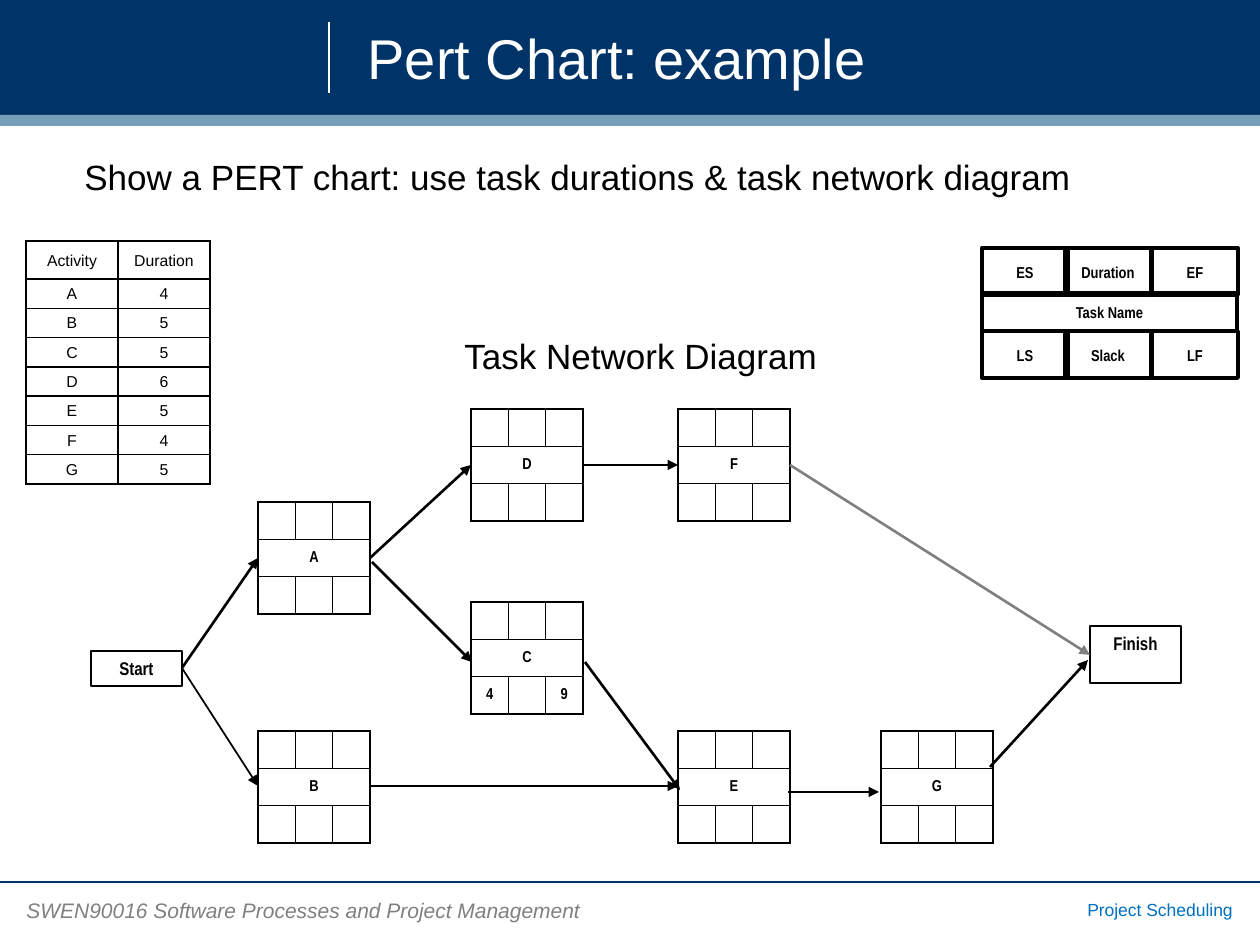
import pptx
import pptx.dml.color
import pptx.enum.shapes
import pptx.enum.text
import pptx.oxml
import pptx.oxml.ns
import pptx.util

RGBColor = pptx.dml.color.RGBColor
Align = pptx.enum.text.PP_ALIGN
Anchor = pptx.enum.text.MSO_ANCHOR
NAVY = RGBColor(0x00, 0x33, 0x68)
STEEL = RGBColor(0x75, 0x9F, 0xB8)
BLUE = RGBColor(0x00, 0x70, 0xC0)
GRAY = RGBColor(0x80, 0x80, 0x80)
BLACK = RGBColor(0x00, 0x00, 0x00)
WHITE = RGBColor(0xFF, 0xFF, 0xFF)
SANS = "Arial"
THIN = "Arial Narrow"


def px(size):
    return int(size * 914400 / 126)


def node(tag, **attrs):
    item = pptx.oxml.parse_xml(f"<a:{tag} {pptx.oxml.ns.nsdecls('a')}/>")
    for key, value in attrs.items():
        item.set(key, value)
    return item


class Board:
    def __init__(self, deck):
        self.slide = deck.slides.add_slide(deck.slide_layouts[5])
        self.shapes = self.slide.shapes

    def letter(self, frame, text, size, color=BLACK, face=SANS, bold=False,
               slant=False, align=Align.LEFT, space=None):
        frame.text = text
        line = frame.paragraphs[0]
        line.alignment = align
        line.line_spacing = space
        font = line.font
        font.size = pptx.util.Pt(size)
        font.name = face
        font.bold = bold
        font.italic = slant
        font.color.rgb = color

    def title(self, text, x, y, w, h):
        shape = self.shapes.title
        shape.left, shape.top, shape.width, shape.height = map(px, (x, y, w, h))
        self.letter(shape.text_frame, text, 32, WHITE)
        shape.text_frame.vertical_anchor = Anchor.MIDDLE
        self.shapes._spTree.append(shape._element)

    def label(self, text, x, y, w, h, size, wrap=True, **style):
        frame = self.shapes.add_textbox(px(x), px(y), px(w), px(h)).text_frame
        frame.word_wrap = wrap
        self.letter(frame, text, size, **style)

    def rect(self, x, y, w, h, fill=None, edge=None):
        kind = pptx.enum.shapes.MSO_SHAPE.RECTANGLE
        shape = self.shapes.add_shape(kind, px(x), px(y), px(w), px(h))
        shape.shadow.inherit = False
        if fill is None:
            shape.fill.background()
        else:
            shape.fill.solid()
            shape.fill.fore_color.rgb = fill
        if edge is None:
            shape.line.fill.background()
        else:
            shape.line.color.rgb = BLACK
            shape.line.width = pptx.util.Pt(edge)
        return shape

    def box(self, text, x, y, w, h, size, edge, anchor, space=None):
        frame = self.rect(x, y, w, h, edge=edge).text_frame
        frame.word_wrap = True
        frame.vertical_anchor = anchor
        self.letter(frame, text, size, face=THIN, bold=True,
                    align=Align.CENTER, space=space)

    def line(self, x1, y1, x2, y2, color=BLACK, width=1.5, arrow=True):
        kind = pptx.enum.shapes.MSO_CONNECTOR.STRAIGHT
        link = self.shapes.add_connector(kind, px(x1), px(y1), px(x2), px(y2))
        link.line.color.rgb = color
        link.line.width = pptx.util.Pt(width)
        props = link._element.spPr
        if arrow:
            props.find(pptx.oxml.ns.qn("a:ln")).append(node("tailEnd", type="triangle"))
        props.append(node("effectLst"))

    def frame(self, cell):
        cell.fill.background()
        props = cell._tc.get_or_add_tcPr()
        for place, side in enumerate(("lnL", "lnR", "lnT", "lnB")):
            edge = node(side, w="12700")
            fill = node("solidFill")
            fill.append(node("srgbClr", val=str(BLACK)))
            edge.append(fill)
            props.insert(place, edge)

    def table(self, rows, x, y, w, h, **style):
        size = len(rows), len(rows[0])
        grid = self.shapes.add_table(*size, px(x), px(y), px(w), px(h)).table
        grid.first_row = grid.horz_banding = False
        for r, row in enumerate(rows):
            for c, text in enumerate(row):
                cell = grid.cell(r, c)
                cell.margin_left = cell.margin_right = px(9)
                cell.margin_top = cell.margin_bottom = 0
                cell.vertical_anchor = Anchor.MIDDLE
                self.letter(cell.text_frame, text, 9, align=Align.CENTER, **style)
                self.frame(cell)
        return grid

    def task(self, name, x, y, start="", end=""):
        rows = [("", "", ""), (name, "", ""), (start, "", end)]
        grid = self.table(rows, x, y, 112, 112, face=THIN, bold=True)
        grid.cell(1, 0).merge(grid.cell(1, 2))


def main():
    deck = pptx.Presentation()
    deck.slide_width, deck.slide_height = px(1260), px(945)
    board = Board(deck)

    board.rect(0, 0, 1260, 115, NAVY)
    board.rect(0, 115, 1260, 11, STEEL)
    board.line(329, 22, 329, 93, WHITE, 0.75, False)
    board.line(0, 882, 1260, 882, NAVY, 0.75, False)
    board.title("Pert Chart: example", 355, 10, 894, 95)
    board.label("SWEN90016 Software Processes and Project Management",
                14, 891, 583, 38, 12, color=GRAY, slant=True)
    board.label("Project Scheduling", 985, 893, 260, 34, 10,
                color=BLUE, align=Align.RIGHT)
    board.label("Show a PERT chart: use task durations & task network diagram",
                72, 149, 1096, 72, 20)
    board.label("Task Network Diagram", 452, 328, 384, 55, 20, wrap=False)

    rows = [("Activity", "Duration"), *zip("ABCDEFG", "4556545")]
    grid = board.table(rows, 26, 241, 184, 243, space=1.07)
    for place, row in enumerate(grid.rows):
        row.height = px(205 / 7 if place else 38)

    tasks = [("A", 258, 502), ("B", 258, 731), ("F", 678, 409),
             ("C", 471, 602, "4", "9"), ("D", 471, 409),
             ("G", 881, 731), ("E", 678, 731)]
    for task in tasks:
        board.task(*task)

    board.box("Start", 91, 651, 91, 35, 10.5, 1, Anchor.TOP)
    board.box("Finish", 1090, 626, 91, 57, 10.5, 1, Anchor.TOP)

    links = [(182, 668, 258, 558), (370, 558, 471, 465), (370, 786, 678, 786),
             (583, 465, 678, 465), (372, 562, 472, 662), (585, 662, 680, 790),
             (788, 792, 879, 792), (990, 767, 1088, 660)]
    for link in links:
        board.line(*link)
    board.line(182, 668, 258, 786, width=1)
    board.line(790, 465, 1090, 655, GRAY)

    for y, names in ((248, ("ES", "Duration", "EF")), (331, ("LS", "Slack", "LF"))):
        for x, name in zip((982, 1065, 1152), names):
            board.box(name, x, y, 86, 47, 9, 2.25, Anchor.MIDDLE, 1.07)
    board.box("Task Name", 982, 293, 255, 38, 9, 2.25, Anchor.MIDDLE, 1.07)

    deck.save("out.pptx")


if __name__ == "__main__":
    main()
